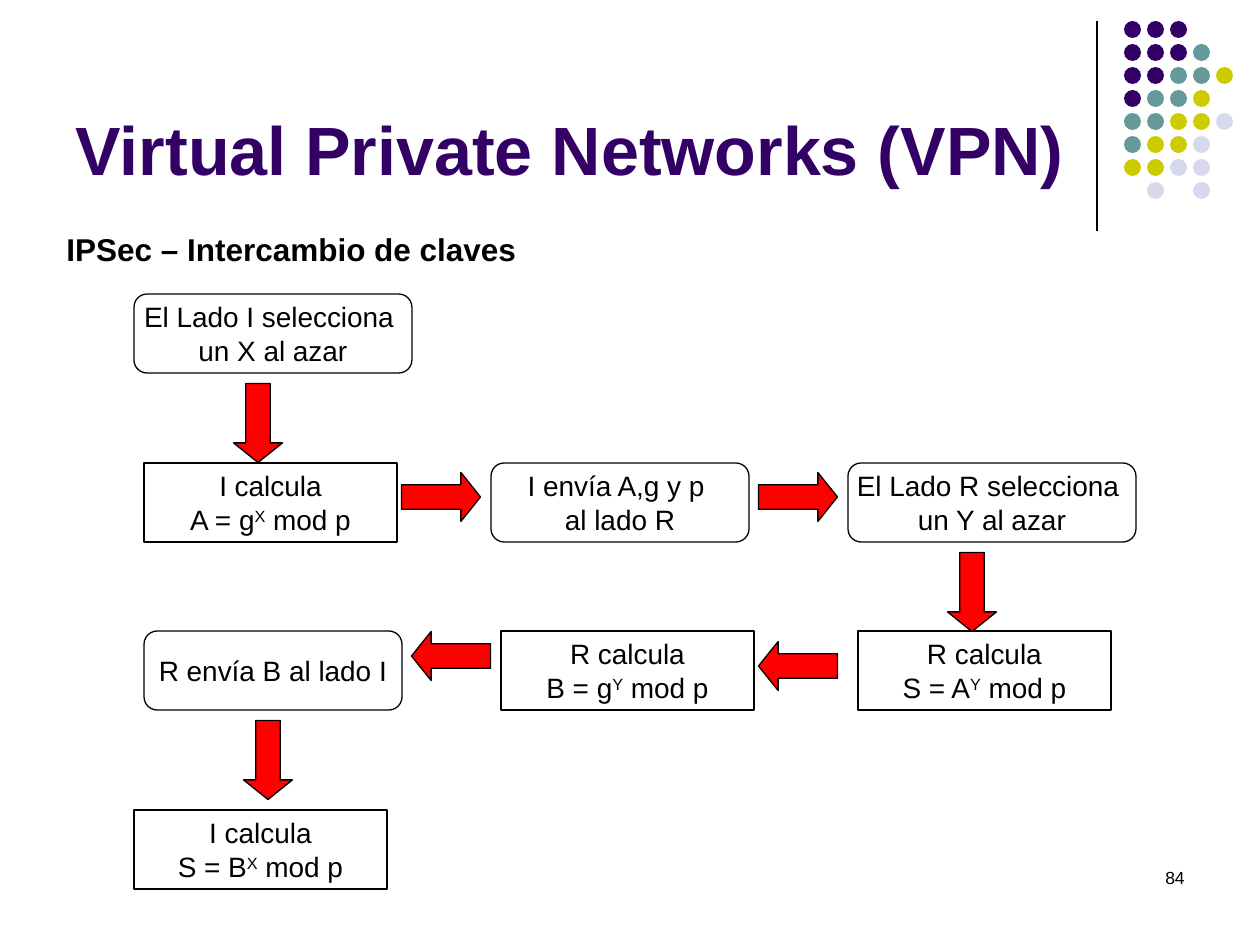
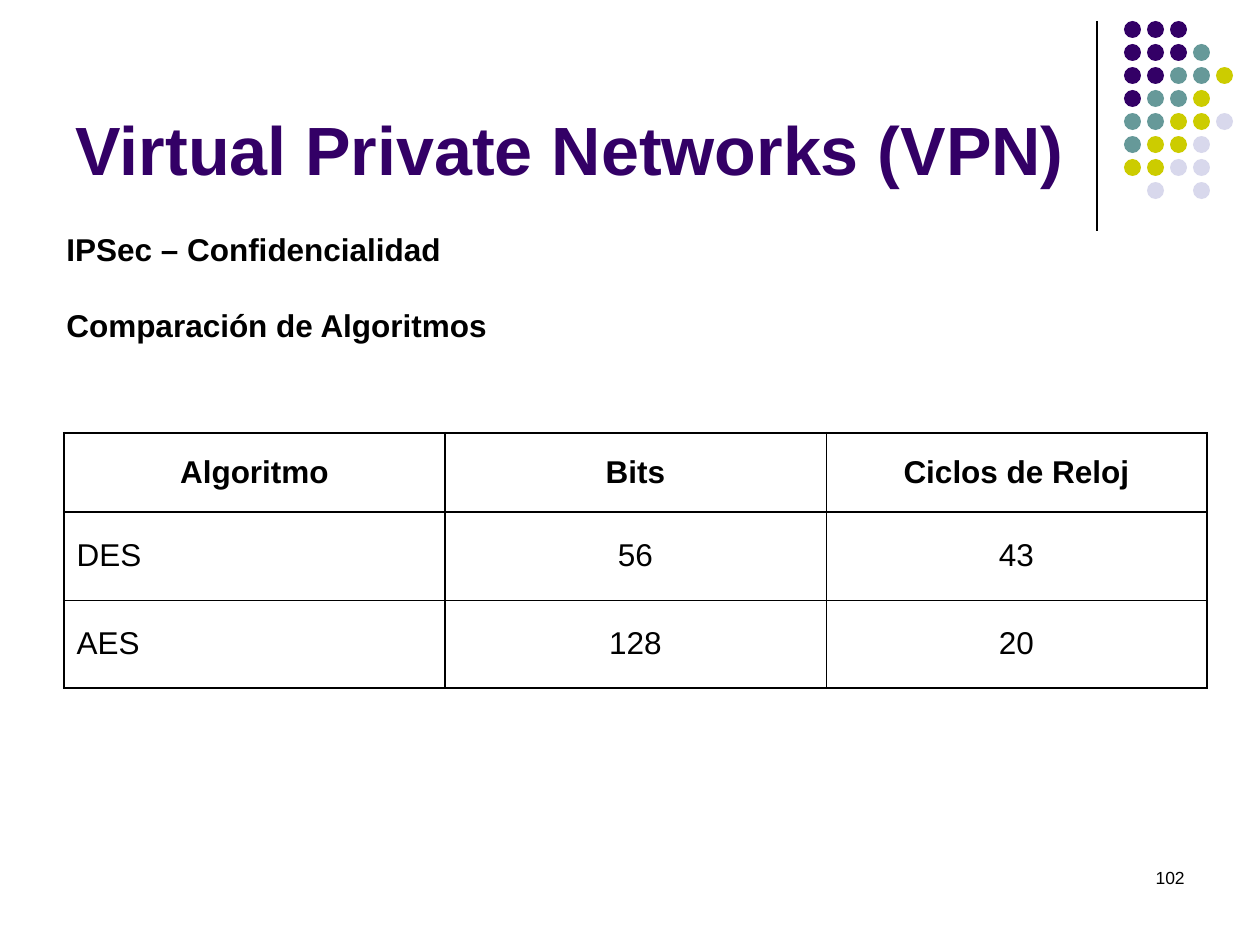
from dataclasses import dataclass

from pptx import Presentation
from pptx.dml.color import RGBColor as RGB
from pptx.enum.shapes import MSO_CONNECTOR as LINK
from pptx.enum.shapes import MSO_SHAPE as KIND
from pptx.enum.text import MSO_ANCHOR as ANCHOR
from pptx.enum.text import MSO_AUTO_SIZE as FIT
from pptx.enum.text import PP_ALIGN as ALIGN
from pptx.oxml import parse_xml
from pptx.oxml.ns import nsdecls
from pptx.util import Emu, Pt

SCALE = 914400 / 126


@dataclass(frozen=True)
class Theme:
    font: str = "Arial"
    ink: RGB = RGB(0, 0, 0)
    plum: RGB = RGB(0x33, 0, 0x66)
    teal: RGB = RGB(0x66, 0x99, 0x99)
    lime: RGB = RGB(0xCC, 0xCC, 0)
    mist: RGB = RGB(0xD8, 0xD8, 0xEC)
    red: RGB = RGB(0xFF, 0, 0)
    title: int = 39
    head: int = 18
    step: int = 16
    page: int = 10
    line: float = 0.75


THEME = Theme()
TITLE = "Virtual Private Networks (VPN)"
DOTS = ("PPP", "PPPT", "PPTTL", "PTTL", "TTLLM", "TLLM", "LLMM", " M M")
HUES = {"P": THEME.plum, "T": THEME.teal, "L": THEME.lime, "M": THEME.mist}

ROUND, RECT = KIND.FLOWCHART_ALTERNATE_PROCESS, KIND.RECTANGLE
TALL = 79
STEPS = (
    (ROUND, 134, 294, 278, ("El Lado I selecciona ", "un X al azar")),
    (RECT, 144, 463, 253, ("I calcula", "A = g^X^ mod p")),
    (ROUND, 491, 463, 258, ("I envía A,g y p ", "al lado R")),
    (ROUND, 848, 463, 288, ("El Lado R selecciona ", "un Y al azar")),
    (RECT, 858, 631, 253, ("R calcula", "S = A^Y^ mod p")),
    (RECT, 501, 631, 253, ("R calcula", "B = g^Y^ mod p")),
    (ROUND, 144, 631, 258, ("R envía B al lado I",)),
    (RECT, 134, 810, 253, ("I calcula", "S = B^X^ mod p")),
)
RIGHT, DOWN, LEFT = 0, 90, 180
ARROWS = (
    (258, 423, DOWN),
    (441, 497, RIGHT),
    (798, 497, RIGHT),
    (972, 592, DOWN),
    (798, 666, LEFT),
    (451, 656, LEFT),
    (268, 760, DOWN),
)

ROWS = (
    ("Algoritmo", "Bits", "Ciclos de Reloj"),
    ("DES", "56", "43"),
    ("AES", "128", "20"),
)
TALLS = (79, 88, 88)
WIDE = 381
ACROSS = (1.47, 1.47, 0.23, 1.47)
UPRIGHT = (1.47, 1.08, 0.45, 1.47)


def px(*marks):
    return [Emu(round(mark * SCALE)) for mark in marks]


def style(para, size, color=THEME.ink, bold=False, align=ALIGN.LEFT):
    para.alignment = align
    font = para.font
    font.name, font.size, font.bold = THEME.font, Pt(size), bold
    font.color.rgb = color


def write(frame, lines, size, gap=0, **look):
    for at, line in enumerate(lines):
        para = frame.add_paragraph() if at else frame.paragraphs[0]
        for turn, part in enumerate(line.split("^")):
            run = para.add_run()
            run.text = part
            if turn % 2:
                run._r.get_or_add_rPr().set("baseline", "30000")
        style(para, size, **look)
        if at:
            para.space_before = Pt(gap)


def add_text(slide, box, lines, size, **look):
    frame = slide.shapes.add_textbox(*px(*box)).text_frame
    frame.word_wrap = True
    write(frame, lines, size, **look)


def add_form(slide, kind, box, fill=None, line=True):
    form = slide.shapes.add_shape(kind, *px(*box))
    form.shadow.inherit = False
    if fill is None:
        form.fill.background()
    else:
        form.fill.solid()
        form.fill.fore_color.rgb = fill
    if line:
        form.line.color.rgb = THEME.ink
        form.line.width = Pt(THEME.line)
    else:
        form.line.fill.background()
    return form


def add_rule(slide, ends):
    rule = slide.shapes.add_connector(LINK.STRAIGHT, *px(*ends))
    rule.line.color.rgb = THEME.ink
    rule.line.width = Pt(THEME.line)
    rule._element.spPr.append(parse_xml(f"<a:effectLst {nsdecls('a')}/>"))


def add_dots(slide, left, top, pitch, size):
    for row, marks in enumerate(DOTS):
        for col, mark in enumerate(marks):
            if mark in HUES:
                box = left + col * pitch, top + row * pitch, size, size
                add_form(slide, KIND.OVAL, box, HUES[mark], line=False)


def add_step(slide, kind, left, top, wide, lines):
    form = add_form(slide, kind, (left, top, wide, TALL))
    frame = form.text_frame
    frame.word_wrap = False
    frame.vertical_anchor = ANCHOR.MIDDLE
    write(frame, lines, THEME.step, align=ALIGN.CENTER)


def add_arrow(slide, mid, level, turn, long=79, thick=49):
    box = mid - long / 2, level - thick / 2, long, thick
    arrow = add_form(slide, KIND.RIGHT_ARROW, box, THEME.red)
    arrow.adjustments[0], arrow.adjustments[1] = 0.5, 0.4
    arrow.rotation = turn


def add_edge(cell, side, width):
    cell._tc.get_or_add_tcPr().append(parse_xml(
        f'<a:ln{side} {nsdecls("a")} w="{int(Pt(width))}"><a:solidFill>'
        f'<a:srgbClr val="{THEME.ink}"/></a:solidFill></a:ln{side}>'))


def add_grid(slide, left, top):
    size = WIDE * len(ROWS[0]), sum(TALLS)
    grid = slide.shapes.add_table(
        len(ROWS), len(ROWS[0]), *px(left, top, *size)).table
    grid.first_row = grid.horz_banding = False
    for col in grid.columns:
        col.width, = px(WIDE)
    for row, words in enumerate(ROWS):
        grid.rows[row].height, = px(TALLS[row])
        for col, word in enumerate(words):
            cell = grid.cell(row, col)
            add_edge(cell, "L", UPRIGHT[col])
            add_edge(cell, "R", UPRIGHT[col + 1])
            add_edge(cell, "T", ACROSS[row])
            add_edge(cell, "B", ACROSS[row + 1])
            cell.fill.background()
            cell.vertical_anchor = ANCHOR.MIDDLE
            name = row > 0 and col == 0
            write(cell.text_frame, [word], THEME.head, bold=row == 0,
                  align=ALIGN.LEFT if name else ALIGN.CENTER)


def add_slide(deck, page, heads):
    slide = deck.slides.add_slide(deck.slide_layouts[5])
    add_rule(slide, (1097, 21, 1097, 231))
    add_dots(slide, 1124, 21, 23, 17)
    title = slide.shapes.title
    title.left, title.top, title.width, title.height = px(63, 16, 1039, 179)
    frame = title.text_frame
    frame.auto_size = FIT.NONE
    frame.vertical_anchor = ANCHOR.BOTTOM
    write(frame, [TITLE], THEME.title, color=THEME.plum, bold=True)
    tall = 50 + 75 * (len(heads) - 1)
    add_text(slide, (54, 224, 1160, tall), heads, THEME.head, gap=22, bold=True)
    add_text(slide, (903, 861, 294, 63), [page], THEME.page, align=ALIGN.RIGHT)
    return slide


def main():
    deck = Presentation()
    deck.slide_width, deck.slide_height = px(1260, 945)

    keys = add_slide(deck, "84", ["IPSec – Intercambio de claves"])
    for step in STEPS:
        add_step(keys, *step)
    for arrow in ARROWS:
        add_arrow(keys, *arrow)

    codes = add_slide(
        deck, "102", ["IPSec – Confidencialidad", "Comparación de Algoritmos"])
    add_grid(codes, 64, 433)

    deck.save("out.pptx")


if __name__ == "__main__":
    main()
